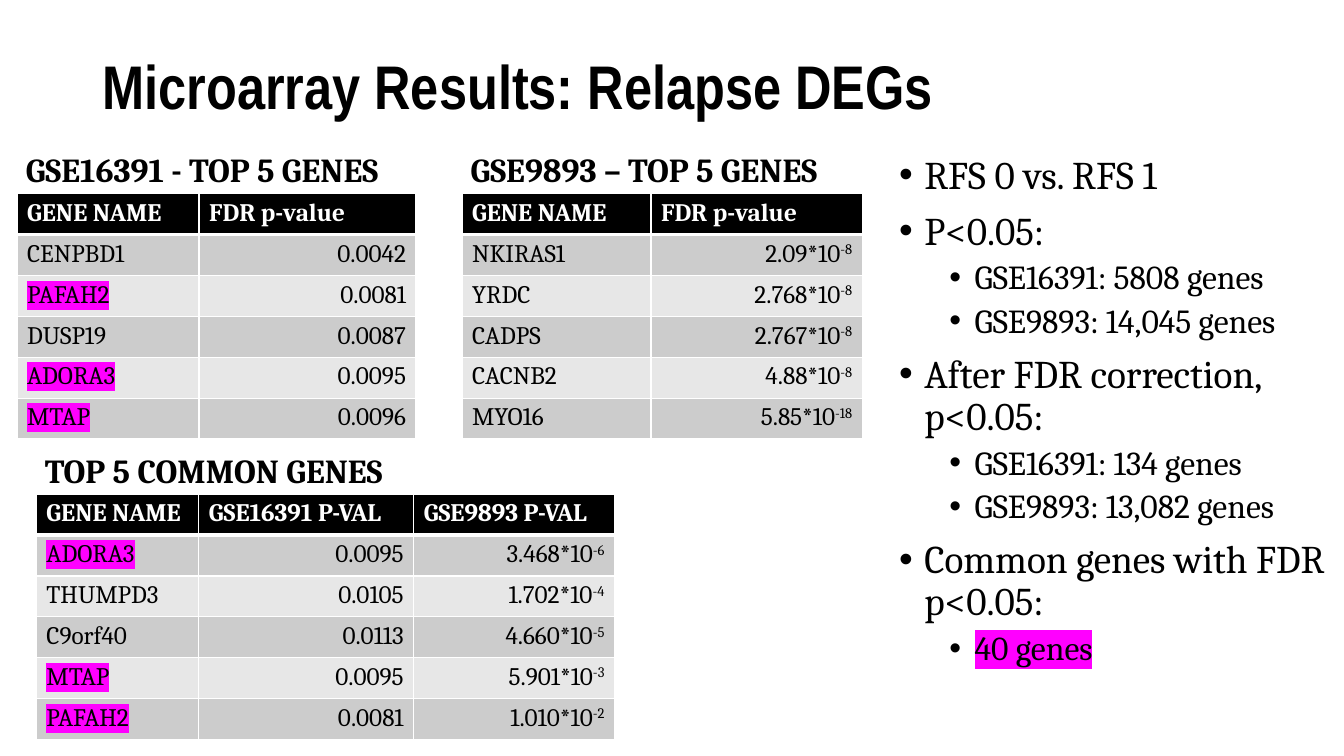
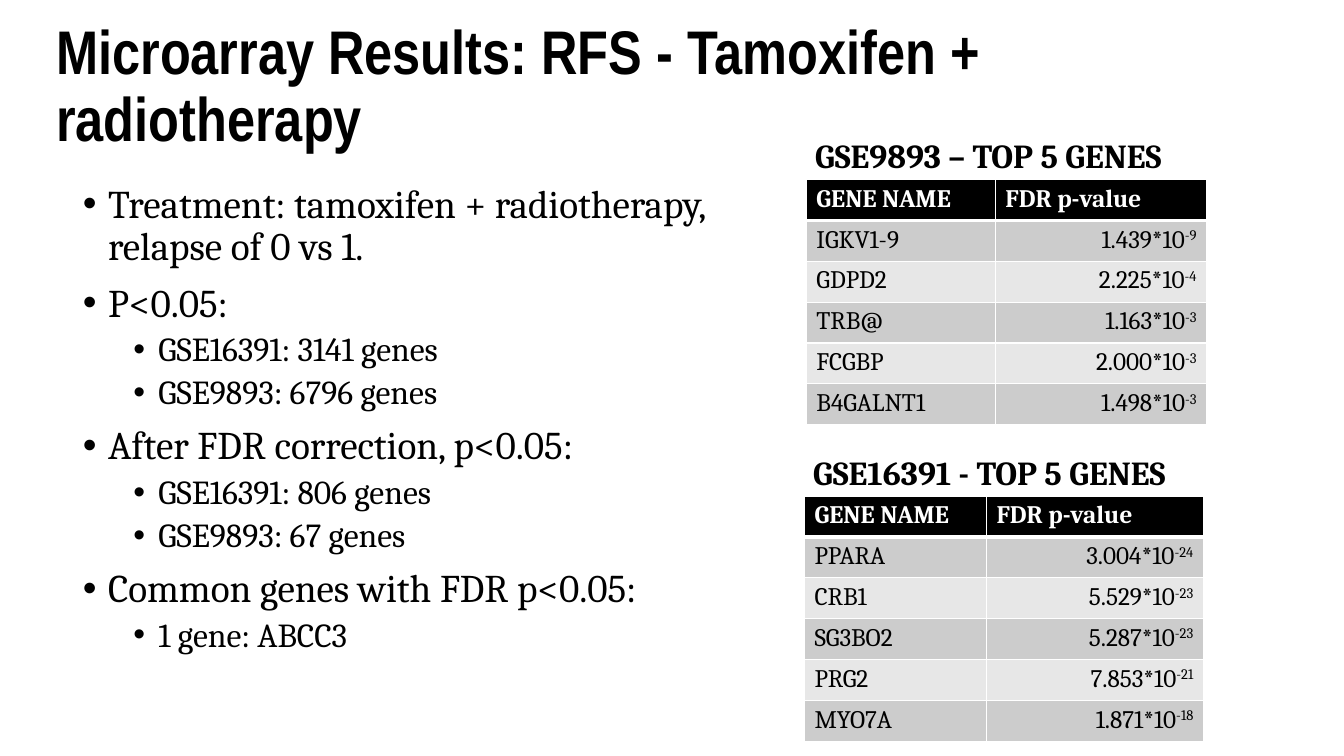
from dataclasses import dataclass

from lxml import etree
from pptx import Presentation
from pptx.dml.color import RGBColor
from pptx.enum import text
from pptx.oxml import ns
from pptx.util import Pt


@dataclass(frozen=True)
class Theme:
    black: str = "000000"
    white: str = "FFFFFF"
    bands: tuple = ("CCCCCC", "E7E7E7")
    marker: str = "FF00FF"
    title_font: str = "Arial Narrow"
    body_font: str = "Cambria"
    title_size: int = 44
    caption_size: int = 24
    cell_size: int = 18
    list_sizes: tuple = (28, 24)
    list_gaps: tuple = (10, 5)
    list_indents: tuple = (18, 54)
    hanging: int = 18
    line_spacing: float = 0.9
    row_height: float = 29.2
    caption_height: int = 65
    caption_width: int = 407


def add_color(parent, color):
    etree.SubElement(parent, ns.qn("a:srgbClr"), val=color)


class Deck:
    """Holds the style and the current slide."""

    def __init__(self, theme):
        self.theme = theme
        self.presentation = Presentation()
        self.presentation.slide_width = Pt(960)
        self.presentation.slide_height = Pt(540)

    # Slides and placeholders
    def start_slide(self):
        layout = self.presentation.slide_layouts.get_by_name("Comparison")
        self.slide = self.presentation.slides.add_slide(layout)
        holders = {p.placeholder_format.idx: p for p in self.slide.placeholders}
        self.list_holder = holders[2]
        self.caption_holders = [holders[1], holders[3]]
        holders[4].element.getparent().remove(holders[4].element)

    def place(self, shape, box, anchor):
        shape.left, shape.top, shape.width, shape.height = map(Pt, box)
        frame = shape.text_frame
        frame.word_wrap = True
        frame.auto_size = text.MSO_AUTO_SIZE.NONE
        frame.vertical_anchor = anchor
        return frame

    # Text
    def add_run(self, paragraph, words, size, bold=False, color=None, font=None,
                marked=False, raised=False):
        run = paragraph.add_run()
        run.text = words
        run.font.name = font or self.theme.body_font
        run.font.size = Pt(size)
        run.font.bold = bold
        run.font.color.rgb = RGBColor.from_string(color or self.theme.black)
        properties = run.font._element
        if marked:
            highlight = etree.Element(ns.qn("a:highlight"))
            add_color(highlight, self.theme.marker)
            properties.find(ns.qn("a:solidFill")).addnext(highlight)
        if raised:
            properties.set("baseline", "30000")

    def space(self, paragraph, before):
        paragraph.line_spacing = self.theme.line_spacing
        paragraph.space_before = Pt(before)
        paragraph.alignment = text.PP_ALIGN.LEFT

    def title(self, words, box):
        frame = self.place(self.slide.shapes.title, box, text.MSO_ANCHOR.MIDDLE)
        paragraph = frame.paragraphs[0]
        self.space(paragraph, 0)
        self.add_run(paragraph, words, self.theme.title_size, bold=True,
                     font=self.theme.title_font)

    def caption(self, words, left, bottom):
        theme = self.theme
        box = (left, bottom - theme.caption_height,
               theme.caption_width, theme.caption_height)
        if self.caption_holders:
            shape = self.caption_holders.pop(0)
        else:
            shape = self.slide.shapes.add_textbox(*map(Pt, box))
        paragraph = self.place(shape, box, text.MSO_ANCHOR.BOTTOM).paragraphs[0]
        self.space(paragraph, 10)
        self.add_run(paragraph, words, theme.caption_size, bold=True)

    def bullets(self, items, box, marked=()):
        theme = self.theme
        frame = self.place(self.list_holder, box, text.MSO_ANCHOR.TOP)
        for index, (level, words) in enumerate(items):
            paragraph = frame.add_paragraph() if index else frame.paragraphs[0]
            paragraph.level = level
            self.space(paragraph, theme.list_gaps[level])
            properties = paragraph._p.get_or_add_pPr()
            properties.set("marL", str(Pt(theme.list_indents[level])))
            properties.set("indent", str(-Pt(theme.hanging)))
            etree.SubElement(properties, ns.qn("a:buFont"), typeface="Arial")
            etree.SubElement(properties, ns.qn("a:buChar"), char="•")
            self.add_run(paragraph, words, theme.list_sizes[level],
                         marked=words in marked)

    # Tables
    def cell_borders(self, cell, row):
        widths = {"L": 1, "R": 1, "T": 3 if row == 1 else 1,
                  "B": 3 if row == 0 else 1}
        properties = cell._tc.get_or_add_tcPr()
        for index, (side, width) in enumerate(widths.items()):
            line = etree.Element(ns.qn(f"a:ln{side}"), w=str(Pt(width)))
            add_color(etree.SubElement(line, ns.qn("a:solidFill")), self.theme.white)
            properties.insert(index, line)

    def gene_table(self, caption, left, top, widths, rows, marked=()):
        """Caption and table; ^ in a value starts its exponent."""
        theme = self.theme
        self.caption(caption, left - 1, top + 1)
        table = self.slide.shapes.add_table(
            len(rows), len(widths), Pt(left), Pt(top),
            Pt(sum(widths)), Pt(theme.row_height * len(rows))).table
        for column, width in zip(table.columns, widths):
            column.width = Pt(width)
        for row, values in enumerate(rows):
            header = row == 0
            fill = theme.black if header else theme.bands[(row - 1) % 2]
            for column, value in enumerate(values):
                cell = table.cell(row, column)
                cell.fill.solid()
                cell.fill.fore_color.rgb = RGBColor.from_string(fill)
                self.cell_borders(cell, row)
                paragraph = cell.text_frame.paragraphs[0]
                if column and not header:
                    paragraph.alignment = text.PP_ALIGN.RIGHT
                for part, words in enumerate(value.split("^")):
                    self.add_run(paragraph, words, theme.cell_size, bold=header,
                                 color=theme.white if header else theme.black,
                                 marked=value in marked, raised=part == 1)


# Content shared by the slides
HEADER = ("GENE NAME", "FDR p-value")
FIRST_STUDY = ("GSE16391 - TOP 5 GENES", (130, 155))
SECOND_STUDY = ("GSE9893 – TOP 5 GENES", (135, 151))


def gene_counts(opening, raw, corrected, common):
    def studies(counts):
        return [(1, f"{study}: {count} genes")
                for study, count in zip(("GSE16391", "GSE9893"), counts)]

    return [(0, opening),
            (0, "P<0.05:"), *studies(raw),
            (0, "After FDR correction, p<0.05:"), *studies(corrected),
            (0, "Common genes with FDR p<0.05:"), (1, common)]


def relapse_slide(deck):
    shared = ("PAFAH2", "ADORA3", "MTAP", "40 genes")
    deck.start_slide()
    deck.title("Microarray Results: Relapse DEGs", (66, 12, 828, 104.4))
    caption, widths = FIRST_STUDY
    deck.gene_table(caption, 12.2, 138.4, widths, [
        HEADER,
        ("CENPBD1", "0.0042"),
        ("PAFAH2", "0.0081"),
        ("DUSP19", "0.0087"),
        ("ADORA3", "0.0095"),
        ("MTAP", "0.0096"),
    ], shared)
    caption, widths = SECOND_STUDY
    deck.gene_table(caption, 330, 138.4, widths, [
        HEADER,
        ("NKIRAS1", "2.09*10^-8"),
        ("YRDC", "2.768*10^-8"),
        ("CADPS", "2.767*10^-8"),
        ("CACNB2", "4.88*10^-8"),
        ("MYO16", "5.85*10^-18"),
    ])
    deck.gene_table("TOP 5 COMMON GENES", 26, 353, (116, 153.5, 143.5), [
        ("GENE NAME", "GSE16391 P-VAL", "GSE9893 P-VAL"),
        ("ADORA3", "0.0095", "3.468*10^-6"),
        ("THUMPD3", "0.0105", "1.702*10^-4"),
        ("C9orf40", "0.0113", "4.660*10^-5"),
        ("MTAP", "0.0095", "5.901*10^-3"),
        ("PAFAH2", "0.0081", "1.010*10^-2"),
    ], shared)
    deck.bullets(gene_counts("RFS 0 vs. RFS 1", ("5808", "14,045"),
                             ("134", "13,082"), "40 genes"),
                 (635, 107.3, 325.4, 401), shared)


def treatment_slide(deck):
    deck.start_slide()
    deck.title("Microarray Results: RFS - Tamoxifen + radiotherapy",
               (33, 10.8, 893.5, 104.4))
    deck.bullets(gene_counts("Treatment: tamoxifen + radiotherapy, relapse of 0 vs 1.",
                             ("3141", "6796"), ("806", "67"), "1 gene: ABCC3"),
                 (52, 128.2, 489, 401))
    caption, widths = FIRST_STUDY
    deck.gene_table(caption, 574.6, 354.4, widths, [
        HEADER,
        ("PPARA", "3.004*10^-24"),
        ("CRB1", "5.529*10^-23"),
        ("SG3BO2", "5.287*10^-23"),
        ("PRG2", "7.853*10^-21"),
        ("MYO7A", "1.871*10^-18"),
    ])
    caption, widths = SECOND_STUDY
    deck.gene_table(caption, 576, 128.2, widths, [
        HEADER,
        ("IGKV1-9", "1.439*10^-9"),
        ("GDPD2", "2.225*10^-4"),
        ("TRB@", "1.163*10^-3"),
        ("FCGBP", "2.000*10^-3"),
        ("B4GALNT1", "1.498*10^-3"),
    ])


def main():
    deck = Deck(Theme())
    relapse_slide(deck)
    treatment_slide(deck)
    deck.presentation.save("out.pptx")


if __name__ == "__main__":
    main()
